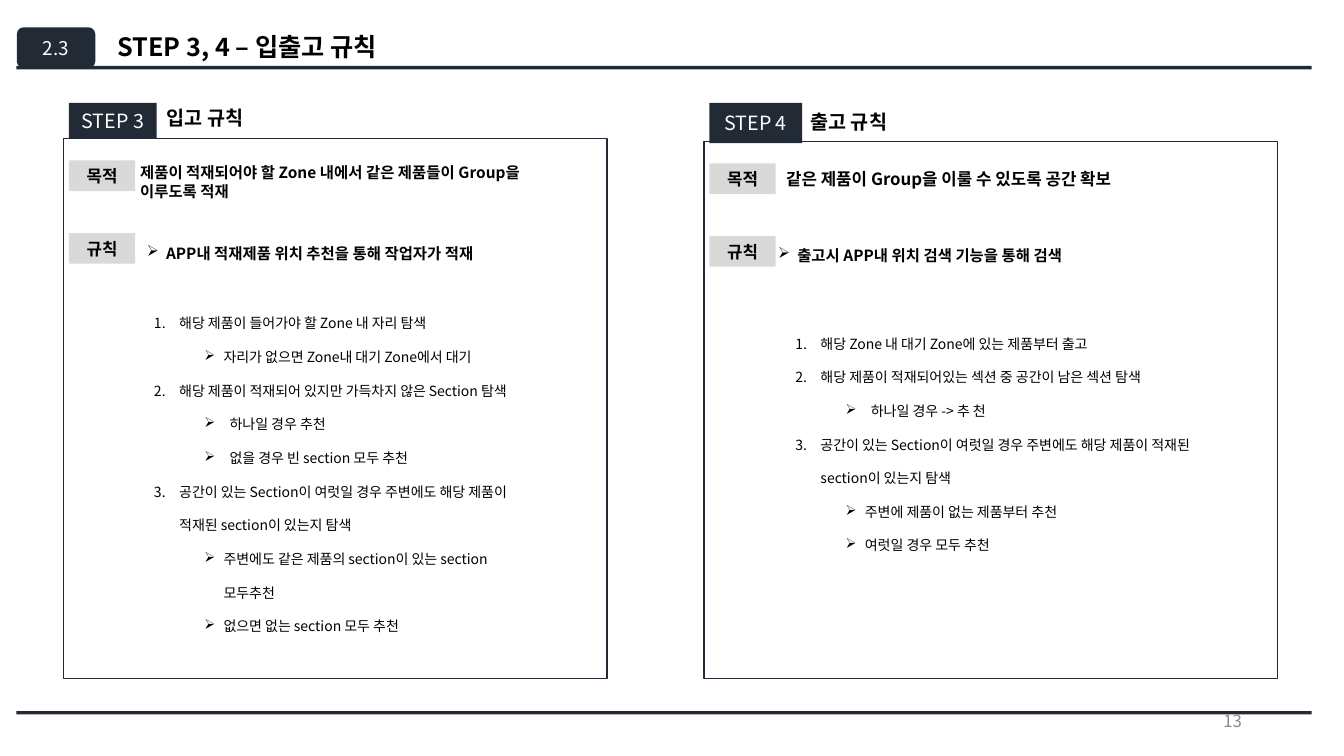
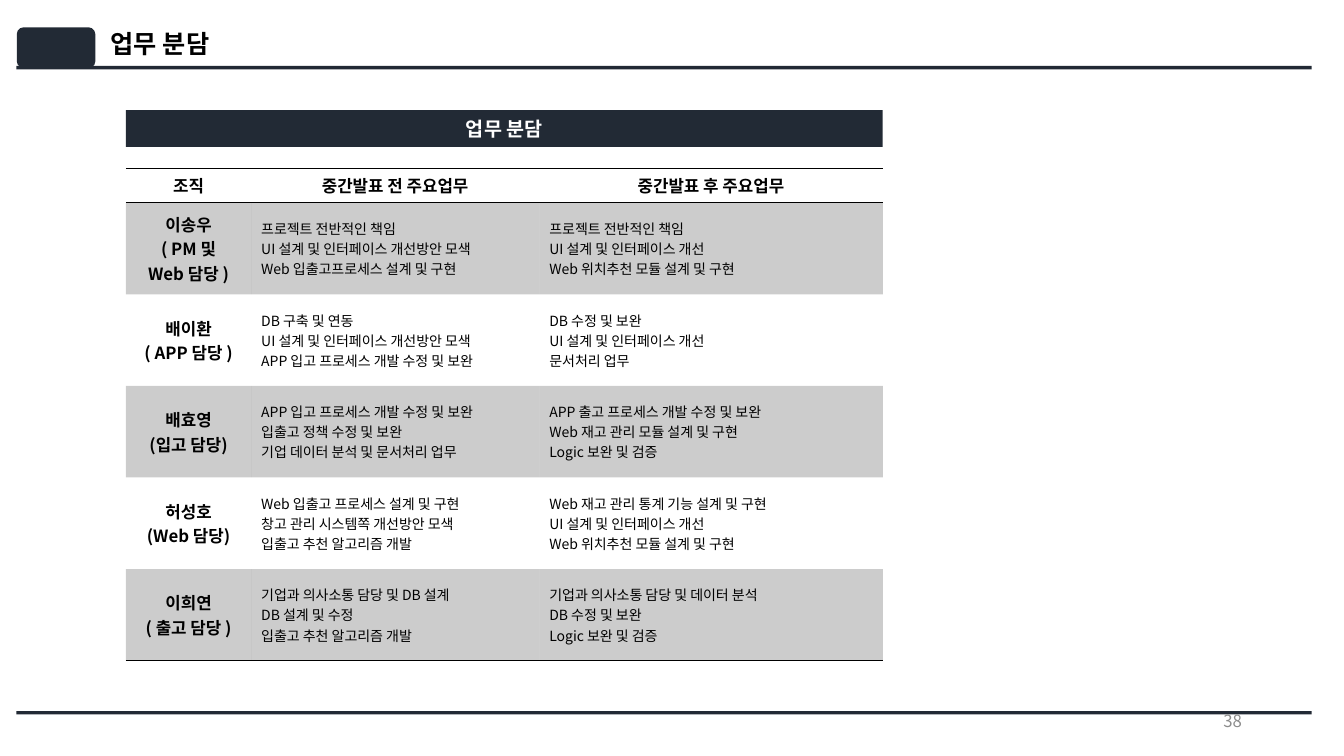
import dataclasses

import pptx
import pptx.dml.color
import pptx.enum.shapes
import pptx.enum.text
import pptx.oxml
import pptx.oxml.ns
import pptx.util

SHAPE = pptx.enum.shapes.MSO_SHAPE
ALIGN = pptx.enum.text.PP_ALIGN
ANCHOR = pptx.enum.text.MSO_ANCHOR
COLS, ROWS = 32, 18
NO_STYLE_TABLE = "{2D5ABB26-0587-4C30-8999-92F81FD0307C}"


@dataclasses.dataclass(frozen=True)
class Theme:
    font: str = "Noto Sans CJK KR"
    navy: str = "222A35"
    black: str = "000000"
    white: str = "FFFFFF"
    label: str = "D9D9D9"
    page: str = "8C8C8C"
    band_alpha: int = 20
    title: float = 18
    tag: float = 13.5
    heading: float = 14
    strong: float = 12
    rule: float = 11
    body: float = 10


@dataclasses.dataclass(frozen=True)
class Bullet:
    level: int
    margin: float
    hang: float
    marks: tuple


ARROW_MARKS = ('<a:buFont {} typeface="Wingdings" charset="2"/>',
               '<a:buChar {} char="Ø"/>')
RULE = Bullet(0, 0.19, 0.19, ARROW_MARKS)
STEP = Bullet(1, 0.75, 0.25, ('<a:buAutoNum {} type="arabicPeriod"/>',))
CASE = Bullet(2, 1.19, 0.19, ARROW_MARKS)
WIDE_CASE = Bullet(2, 1.25, 0.25, ARROW_MARKS)


def xml(markup):
    """Parse drawing markup whose {} stands for the namespace declaration."""
    return pptx.oxml.parse_xml(markup.format(pptx.oxml.ns.nsdecls("a")))


def rgb(color):
    return pptx.dml.color.RGBColor.from_string(color)


class Deck:
    def __init__(self, theme):
        self.theme = theme
        self.prs = pptx.Presentation()
        self.prs.slide_width = pptx.util.Inches(13.33)
        self.prs.slide_height = pptx.util.Inches(7.5)
        self.s = None

    def across(self, cols):
        return round(self.prs.slide_width * cols / COLS)

    def down(self, rows):
        return round(self.prs.slide_height * rows / ROWS)

    def place(self, x, y, w, h):
        return self.across(x), self.down(y), self.across(w), self.down(h)

    def slide(self, title, title_box, number, page):
        """Start a slide with the shared header, rules and page number."""
        t = self.theme
        self.s = self.prs.slides.add_slide(self.prs.slide_layouts[6])
        for y in (1.57, 16.93):
            self.shape((0.39, y, 30.84, 0.08), t.navy)
        self.text(title_box, [title], t.title, bold=True, align=ALIGN.CENTER,
                  anchor=ANCHOR.BOTTOM, spacing=0.9)
        self.shape((0.4, 0.65, 1.87, 0.97), t.navy, number, t.tag, t.white,
                   kind=SHAPE.ROUNDED_RECTANGLE)
        self.text((22.61, 16.68, 7.2, 0.96), [page], t.strong, t.page,
                  align=ALIGN.RIGHT, anchor=ANCHOR.MIDDLE)

    def paragraphs(self, tf, lines, size, color=None, bold=False,
                   align=ALIGN.LEFT, spacing=None, bullets=()):
        for i, line in enumerate(lines):
            p = tf.add_paragraph() if i else tf.paragraphs[0]
            p.alignment = align
            if spacing:
                p.line_spacing = spacing
            if bullets:
                self.bullet(p, bullets[i])
            r = p.add_run()
            r.text = line
            r.font.size = pptx.util.Pt(size)
            r.font.bold = bold
            r.font.color.rgb = rgb(color or self.theme.black)
            r.font.name = self.theme.font
            rPr = r.font._element
            rPr.set("kern", "0")
            rPr.append(xml(f'<a:ea {{}} typeface="{self.theme.font}"/>'))

    def bullet(self, p, style):
        p.level = style.level
        pPr = p._p.get_or_add_pPr()
        pPr.set("marL", str(pptx.util.Inches(style.margin)))
        pPr.set("indent", str(-pptx.util.Inches(style.hang)))
        for mark in style.marks:
            pPr.append(xml(mark))

    def text(self, box, lines, size, color=None, anchor=ANCHOR.TOP, **style):
        tf = self.s.shapes.add_textbox(*self.place(*box)).text_frame
        tf.word_wrap = True
        tf.vertical_anchor = anchor
        self.paragraphs(tf, lines, size, color, **style)

    def shape(self, box, fill=None, label="", size=None, color=None,
              bold=False, kind=SHAPE.RECTANGLE):
        """Draw a filled shape, or an outlined one when fill is None."""
        sp = self.s.shapes.add_shape(kind, *self.place(*box))
        sp.shadow.inherit = False
        if fill:
            sp.fill.solid()
            sp.fill.fore_color.rgb = rgb(fill)
            sp.line.fill.background()
        else:
            sp.fill.background()
            sp.line.color.rgb = rgb(self.theme.navy)
            sp.line.width = pptx.util.Pt(1)
        if label:
            tf = sp.text_frame
            tf.margin_left = tf.margin_right = 0
            tf.vertical_anchor = ANCHOR.MIDDLE
            self.paragraphs(tf, [label], size, color, bold, ALIGN.CENTER)

    def panel(self, frame, step, step_size, heading, heading_box):
        """Framed rule panel with its step tag, heading and two labels."""
        t = self.theme
        x, y = frame[:2]
        inner = x + 0.13
        self.shape((inner, 2.45, *step_size), t.navy, step, t.heading, t.white)
        self.text(heading_box, [heading], t.heading, bold=True)
        for i, label in enumerate(("목적", "규칙")):
            self.shape((inner, y + 0.52 + 1.73 * i, 1.58, 0.73), t.label,
                       label, t.strong, t.black, bold=True)
        self.shape(frame)

    def rule(self, box, line):
        self.text(box, [line], self.theme.rule, bold=True, spacing=1.5,
                  bullets=[RULE])

    def steps(self, box, items):
        bullets, lines = zip(*items)
        self.text(box, lines, self.theme.body, spacing=2.0, bullets=bullets)

    def table(self, x, y, widths, heights, rows):
        """Table with a ruled header, bold first column and shaded odd rows."""
        t = self.theme
        frame = self.s.shapes.add_table(
            len(rows), len(widths),
            *self.place(x, y, sum(widths), sum(heights)))
        tbl = frame.table
        tbl.first_row = tbl.horz_banding = False
        tbl._tbl.tblPr.find(pptx.oxml.ns.qn("a:tableStyleId")).text = NO_STYLE_TABLE
        for column, w in zip(tbl.columns, widths):
            column.width = self.across(w)
        for i, (row, h) in enumerate(zip(rows, heights)):
            tbl.rows[i].height = self.down(h)
            edges = {0: ("lnT", "lnB"), len(rows) - 1: ("lnB",)}.get(i, ())
            for j, lines in enumerate(row):
                cell = tbl.cell(i, j)
                cell.vertical_anchor = ANCHOR.MIDDLE
                strong = i == 0 or j == 0
                self.paragraphs(cell.text_frame, lines,
                                t.strong if strong else t.body, bold=strong,
                                align=ALIGN.CENTER if strong else ALIGN.LEFT)
                self.cell_look(cell, i % 2 == 1, edges)

    def cell_look(self, cell, shaded, edges):
        t = self.theme
        tcPr = cell._tc.get_or_add_tcPr()
        if shaded:
            cell.fill.solid()
            cell.fill.fore_color.rgb = rgb(t.black)
            tcPr.find(".//" + pptx.oxml.ns.qn("a:srgbClr")).append(
                xml(f'<a:alpha {{}} val="{t.band_alpha * 1000}"/>'))
        else:
            cell.fill.background()
        for edge in reversed(edges):
            tcPr.insert(0, xml(
                f'<a:{edge} {{}} w="{pptx.util.Pt(1)}"><a:solidFill>'
                f'<a:srgbClr val="{t.black}"/></a:solidFill></a:{edge}>'))


INBOUND_STEPS = [
    (STEP, "해당 제품이 들어가야 할 Zone 내 자리 탐색"),
    (CASE, "자리가 없으면 Zone내 대기 Zone에서 대기"),
    (STEP, "해당 제품이 적재되어 있지만 가득차지 않은 Section 탐색"),
    (WIDE_CASE, "하나일 경우 추천"),
    (WIDE_CASE, "없을 경우 빈 section 모두 추천"),
    (STEP, "공간이 있는 Section이 여럿일 경우 주변에도 해당 제품이 적재된 section이 있는지 탐색"),
    (CASE, "주변에도 같은 제품의 section이 있는 section 모두추천"),
    (CASE, "없으면 없는 section 모두 추천"),
]
OUTBOUND_STEPS = [
    (STEP, "해당 Zone 내 대기 Zone에 있는 제품부터 출고"),
    (STEP, "해당 제품이 적재되어있는 섹션 중 공간이 남은 섹션 탐색"),
    (WIDE_CASE, "하나일 경우 -> 추 천"),
    (STEP, "공간이 있는 Section이 여럿일 경우 주변에도 해당 제품이 적재된 section이 있는지 탐색"),
    (CASE, "주변에 제품이 없는 제품부터 추천"),
    (CASE, "여럿일 경우 모두 추천"),
]
DUTIES = [
    (["조직"], ["중간발표 전 주요업무"], ["중간발표 후 주요업무"]),
    (["이송우", "( PM 및", "Web 담당 )"],
     ["프로젝트 전반적인 책임", "UI 설계 및 인터페이스 개선방안 모색",
      "Web 입출고프로세스 설계 및 구현"],
     ["프로젝트 전반적인 책임", "UI 설계 및 인터페이스 개선",
      "Web 위치추천 모듈 설계 및 구현"]),
    (["배이환", "( APP 담당 )"],
     ["DB 구축 및 연동", "UI 설계 및 인터페이스 개선방안 모색",
      "APP 입고 프로세스 개발 수정 및 보완"],
     ["DB 수정 및 보완", "UI 설계 및 인터페이스 개선", "문서처리 업무"]),
    (["배효영", "(입고 담당)"],
     ["APP 입고 프로세스 개발 수정 및 보완", "입출고 정책 수정 및 보완",
      "기업 데이터 분석 및 문서처리 업무"],
     ["APP 출고 프로세스 개발 수정 및 보완", "Web 재고 관리 모듈 설계 및 구현",
      "Logic 보완 및 검증"]),
    (["허성호", "(Web 담당)"],
     ["Web 입출고 프로세스 설계 및 구현", "창고 관리 시스템쪽 개선방안 모색",
      "입출고 추천 알고리즘 개발"],
     ["Web 재고 관리 통계 기능 설계 및 구현", "UI 설계 및 인터페이스 개선",
      "Web 위치추천 모듈 설계 및 구현"]),
    (["이희연", "( 출고 담당 )"],
     ["기업과 의사소통 담당 및 DB 설계", "DB 설계 및 수정",
      "입출고 추천 알고리즘 개발"],
     ["기업과 의사소통 담당 및 데이터 분석", "DB 수정 및 보완",
      "Logic 보완 및 검증"]),
]


def rules_slide(deck):
    t = deck.theme
    deck.slide("STEP 3, 4 – 입출고 규칙", (2.26, 0.68, 7.25, 0.91), "2.3", "13")

    deck.panel((1.51, 3.3, 12.94, 12.86), "STEP 3", (2.09, 0.84),
               "입고 규칙", (3.74, 2.4, 3, 0.82))
    deck.text((3.1, 3.77, 9.86, 1.13),
              ["제품이 적재되어야 할 Zone 내에서 같은 제품들이 Group을 이루도록 적재"],
              t.rule, bold=True)
    deck.rule((3.26, 5.47, 9.86, 0.82), "APP내 적재제품 위치 추천을 통해 작업자가 적재")
    deck.steps((2.23, 6.98, 10.9, 8.33), INBOUND_STEPS)

    deck.panel((16.76, 3.37, 13.66, 12.79), "STEP 4", (2.21, 0.96),
               "출고 규칙", (19.06, 2.5, 3, 0.82))
    deck.text((18.48, 3.89, 9.14, 0.72),
              ["같은 제품이 Group을 이룰 수 있도록 공간 확보"], t.strong, bold=True)
    deck.rule((18.29, 5.52, 9.86, 0.91), "출고시 APP내 위치 검색 기능을 통해 검색")
    deck.steps((17.5, 7.46, 11.09, 5.9), OUTBOUND_STEPS)


def duties_slide(deck):
    t = deck.theme
    deck.slide("업무 분담", (2.26, 0.62, 3.1, 0.91), "", "38")
    widths = (2.98, 6.86, 8.18)
    deck.table(3, 4.01, widths, [0.82] + [2.18] * 5, DUTIES)
    deck.shape((3, 2.62, sum(widths), 0.88), t.navy, "업무 분담", t.heading,
               t.white, bold=True)


def main():
    deck = Deck(Theme())
    rules_slide(deck)
    duties_slide(deck)
    deck.prs.save("out.pptx")


if __name__ == "__main__":
    main()
